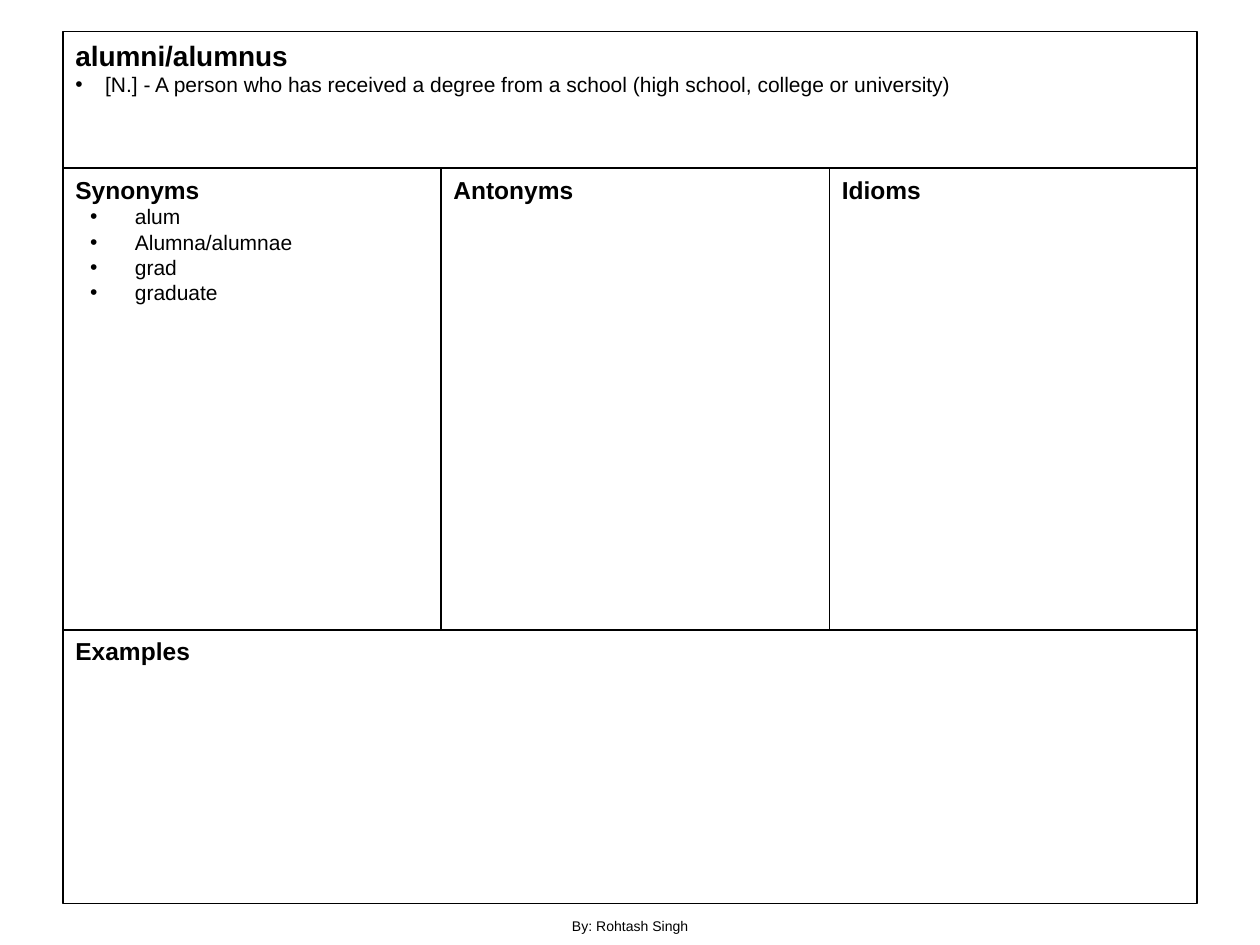
from dataclasses import dataclass

from lxml import etree
from pptx import Presentation
from pptx.dml.color import RGBColor
from pptx.enum.shapes import MSO_SHAPE
from pptx.enum.text import MSO_ANCHOR, PP_ALIGN
from pptx.oxml.ns import qn
from pptx.util import Cm, Pt

RECT = MSO_SHAPE.RECTANGLE
TOP = MSO_ANCHOR.TOP
LEFT, CENTER = PP_ALIGN.LEFT, PP_ALIGN.CENTER

HEX = {"ink": "000000", "paper": "FFFFFF"}
COLOR = {name: RGBColor.from_string(code) for name, code in HEX.items()}

FRAME = {
    "margin_left": Cm(0.25), "margin_right": Cm(0.25),
    "margin_top": Cm(0.13), "margin_bottom": Cm(0.13),
    "vertical_anchor": TOP, "word_wrap": True,
}

# Grid edges in cm
COLS = (1.27, 8.89, 16.72, 24.13)
ROWS = (0.64, 3.39, 12.7, 18.21)


@dataclass
class Panel:
    title: str
    row: int
    start: int
    end: int
    size: int = 14
    items: tuple[str, ...] = ()
    indent: float = 1.2
    hang: float = 0.9


PANELS = (
    Panel("Synonyms", 1, 0, 1, items=("alum", "Alumna/alumnae", "grad", "graduate")),
    Panel("Antonyms", 1, 1, 2),
    Panel("Idioms", 1, 2, 3),
    Panel("Examples", 2, 0, 3),
    Panel("alumni/alumnus", 0, 0, 3, size=16, indent=0.6, hang=0.6, items=(
        "[N.] - A person who has received a degree from a school "
        "(high school, college or university)",)),
)


def apply(target, values: dict) -> None:
    for name, value in values.items():
        setattr(target, name, value)


def write(par, text: str, size: int, bold: bool = False, align=LEFT) -> None:
    apply(par, {"text": text, "alignment": align})
    apply(par.font, {"name": "Arial", "size": Pt(size), "bold": bold})
    par.font.color.rgb = COLOR["ink"]


def add_bullet(par, indent: float, hang: float) -> None:
    """Give the paragraph a hanging bullet; lengths in cm."""
    props = par._p.get_or_add_pPr()
    props.set("marL", str(Cm(indent)))
    props.set("indent", str(-Cm(hang)))
    etree.SubElement(props, qn("a:buFont"), typeface="Arial")
    etree.SubElement(props, qn("a:buChar"), char="•")


def draw_panel(slide, panel: Panel) -> None:
    x, y = COLS[panel.start], ROWS[panel.row]
    width, height = COLS[panel.end] - x, ROWS[panel.row + 1] - y
    box = slide.shapes.add_shape(RECT, Cm(x), Cm(y), Cm(width), Cm(height))
    box.shadow.inherit = False
    box.fill.background()
    box.line.color.rgb = COLOR["ink"]
    box.line.width = Pt(0.75)
    frame = box.text_frame
    apply(frame, FRAME)
    write(frame.paragraphs[0], panel.title, panel.size, bold=True)
    for item in panel.items:
        par = frame.add_paragraph()
        add_bullet(par, panel.indent, panel.hang)
        write(par, item, 12)


def draw_credit(slide, text: str) -> None:
    box = slide.shapes.add_textbox(Cm(8.68), Cm(18.36), Cm(8.05), Cm(0.68))
    apply(box.text_frame, FRAME)
    write(box.text_frame.paragraphs[0], text, 8, align=CENTER)


def main() -> None:
    deck = Presentation()
    apply(deck, {"slide_width": Cm(25.4), "slide_height": Cm(19.05)})
    slide = deck.slides.add_slide(deck.slide_layouts[6])
    fill = slide.background.fill
    fill.solid()
    fill.fore_color.rgb = COLOR["paper"]
    draw_credit(slide, "By: Rohtash Singh")
    for panel in PANELS:
        draw_panel(slide, panel)
    deck.save("out.pptx")


if __name__ == "__main__":
    main()
